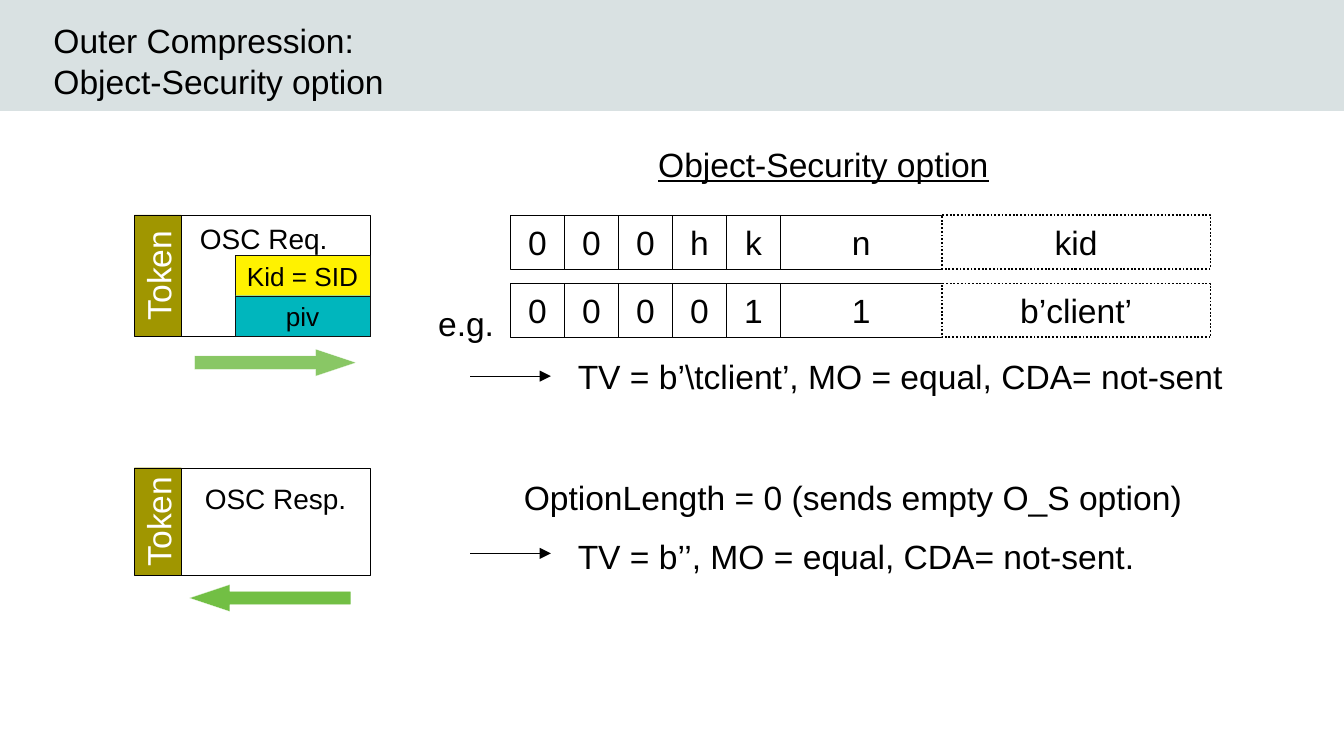
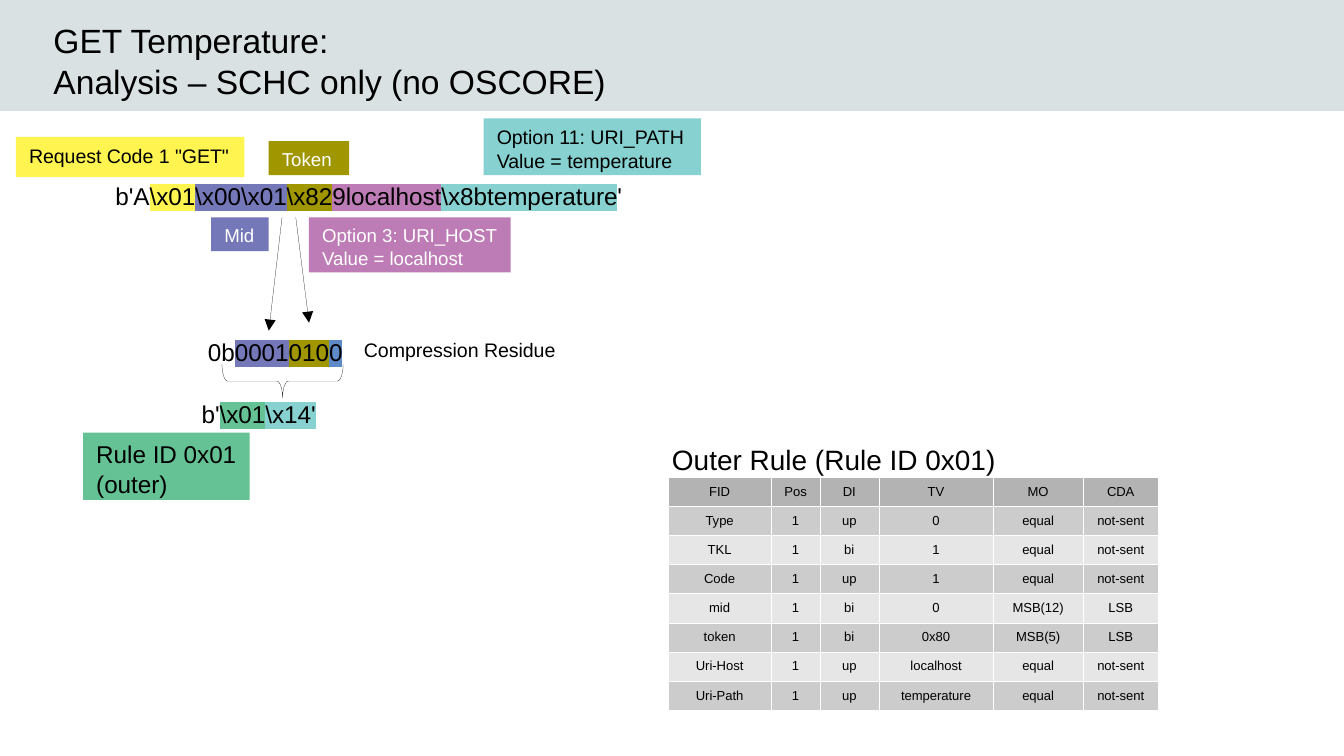
from pptx import Presentation
from pptx.dml.color import RGBColor
from pptx.enum.dml import MSO_LINE
from pptx.enum.shapes import MSO_CONNECTOR, MSO_SHAPE
from pptx.enum.text import MSO_ANCHOR as ANCHOR, MSO_AUTO_SIZE, PP_ALIGN as ALIGN
from pptx.oxml.ns import qn
from pptx.util import Cm, Pt
from lxml.etree import SubElement

# ---- Shared look ----
FONT = "Arial"
HAIRLINE = Pt(0.1)
C = {
    "black": "000000", "white": "FFFFFF", "band": "D9E1E2", "edge": "111111",
    "kid": "FFF200", "piv": "00B6BD", "olive": "A09600",
    "req_arrow": "89C765", "resp_arrow": "72BF44",
    "code": "FFF450", "mid": "7477B8", "host": "BD7CB5", "uri": "87D1D1",
    "rule": "65C295", "pad": "5E8AC7",
    "head": "B3B3B3", "odd": "CCCCCC", "even": "E6E6E6",
}

# ---- Slide 1 content (all lengths in cm) ----
OPTION_TITLE = ["Outer Compression:", "Object-Security option"]
FIELD_WIDTHS = [1.02] * 5 + [3.05, 5.08]
FIELD_ROWS = [
    (4.06, ["0", "0", "0", "h", "k", "n", "kid"]),
    (5.36, ["0", "0", "0", "0", "1", "1", "b’client’"]),
]
MESSAGE_X, MESSAGE_W, TOKEN_W = 3.43, 3.56, 0.89
MESSAGES = [(4.06, 2.29), (8.84, 2.03)]  # top, height
FIELDS_IN_REQUEST = [("Kid = SID", "kid"), ("piv", "piv")]
DIRECTIONS = [
    (MSO_SHAPE.RIGHT_ARROW, 3.68, 6.6, "req_arrow"),
    (MSO_SHAPE.LEFT_ARROW, 3.58, 11.05, "resp_arrow"),
]
OPTION_NOTES = [
    ("e.g.", 8.03, 5.59, 1.65),
    ("TV = b’\\tclient’, MO = equal, CDA= not-sent", 10.67, 6.6, 13.21),
    ("OptionLength = 0 (sends empty O_S option)", 9.65, 8.89, 13.97),
    ("TV = b’’, MO = equal, CDA= not-sent.", 10.67, 10.01, 13.21),
]
NOTE_ARROWS = [7.11, 10.46]

# ---- Slide 2 content ----
GET_TITLE = ["GET Temperature:", "Analysis – SCHC only (no OSCORE)"]
BYTE_STRINGS = [  # box, runs of (text, highlight)
    ((1.93, 3.3, 10.26, 0.81),
     [("b'A", None), ("\\x01", "code"), ("\\x00\\x01", "mid"), ("\\x82", "olive"),
      ("9localhost", "host"), ("\\x8btemperature", "uri"), ("'", None)]),
    ((3.68, 6.25, 3.05, 0.76),
     [("0b", None), ("0001", "mid"), ("010", "olive"), ("0", "pad")]),
    ((3.56, 7.42, 2.82, 0.76),
     [("b'", None), ("\\x01", "rule"), ("\\x14'", "uri")]),
]
LABELS = [  # lines, box, fill, text colour, size
    (['Request Code 1 "GET"'], (0.3, 2.59, 4.32, 0.76), "code", "black", 10.5),
    (["Mid"], (3.99, 4.11, 1.09, 0.64), "mid", "white", 10),
    (["Token"], (5.08, 2.67, 1.52, 0.64), "olive", "white", 10),
    (["Option 3: URI_HOST", "Value = localhost"],
     (5.84, 4.11, 3.81, 1.04), "host", "white", 10),
    (["Option 11: URI_PATH", "Value = temperature"],
     (9.14, 2.24, 4.11, 1.07), "uri", "black", 10.5),
    (["Rule ID 0x01", "(outer)"], (1.57, 8.18, 3.15, 1.27), "rule", "black", 13),
]
RESIDUE_ARROWS = [(5.59, 4.11, 5.84, 6.1), (5.33, 4.11, 5.08, 6.25)]
COLUMN_WIDTHS = [1.96, 0.91, 1.12, 2.16, 1.7, 1.42]
ROW_HEIGHT = 0.55
RULE_ROWS = [
    ("FID", "Pos", "DI", "TV", "MO", "CDA"),
    ("Type", "1", "up", "0", "equal", "not-sent"),
    ("TKL", "1", "bi", "1", "equal", "not-sent"),
    ("Code", "1", "up", "1", "equal", "not-sent"),
    ("mid", "1", "bi", "0", "MSB(12)", "LSB"),
    ("token", "1", "bi", "0x80", "MSB(5)", "LSB"),
    ("Uri-Host", "1", "up", "localhost", "equal", "not-sent"),
    ("Uri-Path", "1", "up", "temperature", "equal", "not-sent"),
]


# ---- Helpers ----
def rgb(name):
    return RGBColor.from_string(C[name])


def cms(*values):
    return [Cm(v) for v in values]


def add_run(p, text, size, color="black", highlight=None, underline=None):
    r = p.add_run()
    r.text = text
    f = r.font
    f.name, f.size, f.underline = FONT, Pt(size), underline
    f.color.rgb = rgb(color)
    if highlight:
        rpr = r._r.get_or_add_rPr()
        hl = SubElement(rpr, qn("a:highlight"))
        SubElement(hl, qn("a:srgbClr"), val=C[highlight])
        rpr.find(qn("a:solidFill")).addnext(hl)


def write(tf, lines, size, color="black", align=ALIGN.LEFT, anchor=ANCHOR.TOP, **style):
    """Each line is a string or a list of (text, highlight) runs."""
    tf.word_wrap = True
    tf.auto_size = MSO_AUTO_SIZE.NONE
    tf.vertical_anchor = anchor
    tf.margin_left = Cm(0 if align == ALIGN.CENTER else 0.25)
    tf.margin_right = 0
    tf.margin_top = tf.margin_bottom = Cm(0.13)
    for i, line in enumerate(lines):
        p = tf.add_paragraph() if i else tf.paragraphs[0]
        p.alignment = align
        for text, hl in [(line, None)] if isinstance(line, str) else line:
            add_run(p, text, size, color, hl, **style)


def add_text(s, lines, box, size, **style):
    write(s.shapes.add_textbox(*cms(*box)).text_frame, lines, size, **style)


def add_box(s, box, fill=None, line=None, kind=MSO_SHAPE.RECTANGLE):
    sp = s.shapes.add_shape(kind, *cms(*box))
    sp.shadow.inherit = False
    if fill:
        sp.fill.solid()
        sp.fill.fore_color.rgb = rgb(fill)
    else:
        sp.fill.background()
    if line:
        sp.line.color.rgb = rgb(line)
        sp.line.width = HAIRLINE
    else:
        sp.line.fill.background()
    return sp


def add_centred(s, text, box, fill, line, size, color="black"):
    sp = add_box(s, box, fill, line)
    write(sp.text_frame, [text], size, color, ALIGN.CENTER, ANCHOR.MIDDLE)
    return sp


def add_arrow(s, x1, y1, x2, y2):
    cn = s.shapes.add_connector(MSO_CONNECTOR.STRAIGHT, *cms(x1, y1, x2, y2))
    cn.line.color.rgb = rgb("black")
    cn.line.width = HAIRLINE
    SubElement(cn.line._get_or_add_ln(), qn("a:tailEnd"), type="triangle")
    SubElement(cn._element.spPr, qn("a:effectLst"))


def add_slide(prs, title):
    s = prs.slides.add_slide(prs.slide_layouts[5])
    t = s.shapes.title
    t.left, t.top, t.width, t.height = cms(0.76, 0.25, 21.34, 2.39)
    write(t.text_frame, title, 18)
    return s


# ---- Slides ----
def build_option_slide(prs):
    s = add_slide(prs, OPTION_TITLE)

    # The band belongs to the layout, so both slides show it
    band = add_box(s, (0, 0, 25.4, 2.1), "band")
    prs.slide_layouts[5].shapes._spTree.insert(2, band._element)

    # Request and response messages, each with its token on the left
    for top, height in MESSAGES:
        add_box(s, (MESSAGE_X, top, MESSAGE_W, height), "white", "black")
        cx, cy = MESSAGE_X - TOKEN_W / 2, top + height / 2
        token = add_centred(s, "Token", (cx - height / 2, cy - TOKEN_W / 2, height, TOKEN_W),
                            "olive", "black", 18, "white")
        token.rotation = 270
    add_text(s, ["OSC Req."], (3.53, 4.06, 3.4, 0.84), 15)
    add_text(s, ["OSC Resp."], (MESSAGE_X, 8.98, MESSAGE_W, 0.84), 15, align=ALIGN.CENTER)
    for i, (text, fill) in enumerate(FIELDS_IN_REQUEST):
        add_centred(s, text, (4.45, 4.83 + i * 0.76, 2.54, 0.76), fill, "edge", 14)
    for kind, x, y, fill in DIRECTIONS:
        sp = add_box(s, (x, y, 3.05, 0.51), fill, "white", kind)
        sp.adjustments[0], sp.adjustments[1] = 0.5, 1.5

    # Option layout and example, the last field dotted
    add_text(s, ["Object-Security option"], (12.19, 2.59, 8.89, 0.97), 18, underline=True)
    for y, fields in FIELD_ROWS:
        x = 9.65
        for text, w in zip(fields, FIELD_WIDTHS):
            sp = add_centred(s, text, (x, y, w, 1.02), "white", "black", 18)
            x += w
        sp.line.width = Pt(1)
        sp.line.dash_style = MSO_LINE.ROUND_DOT

    # Explanations
    for text, x, y, w in OPTION_NOTES:
        add_text(s, [text], (x, y, w, 1.02), 18)
    for y in NOTE_ARROWS:
        add_arrow(s, 8.89, y, 10.41, y)


def add_rule_table(s):
    size = cms(12.62, 9.02, sum(COLUMN_WIDTHS), ROW_HEIGHT * len(RULE_ROWS))
    table = s.shapes.add_table(len(RULE_ROWS), len(COLUMN_WIDTHS), *size).table
    for col, w in zip(table.columns, COLUMN_WIDTHS):
        col.width = Cm(w)
    for i, row in enumerate(RULE_ROWS):
        table.rows[i].height = Cm(ROW_HEIGHT)
        fill = "head" if i == 0 else "odd" if i % 2 else "even"
        for j, text in enumerate(row):
            cell = table.cell(i, j)
            cell.vertical_anchor = ANCHOR.MIDDLE
            cell.margin_left = cell.margin_right = Cm(0.1)
            p = cell.text_frame.paragraphs[0]
            p.alignment = ALIGN.CENTER
            add_run(p, text, 7)
            # Borders come before the fill in the cell properties
            tcpr = cell._tc.get_or_add_tcPr()
            for side in ("lnL", "lnR", "lnT", "lnB"):
                ln = SubElement(tcpr, qn("a:" + side), w=str(HAIRLINE))
                SubElement(SubElement(ln, qn("a:solidFill")), qn("a:srgbClr"), val=C["white"])
            cell.fill.solid()
            cell.fill.fore_color.rgb = rgb(fill)


def build_get_slide(prs):
    s = add_slide(prs, GET_TITLE)

    # Byte strings and their labels
    for box, runs in BYTE_STRINGS:
        add_text(s, [runs], box, 13)
    for lines, box, fill, color, size in LABELS:
        write(add_box(s, box, fill).text_frame, lines, size, color)
    add_text(s, ["Compression Residue"], (6.63, 6.25, 4.32, 0.66), 10.5)

    # Brace under the residue, and arrows into it
    brace = add_box(s, (5.02, 6.06, 0.64, 2.29), None, "black", MSO_SHAPE.RIGHT_BRACE)
    brace.adjustments[0] = 0.17
    brace.rotation = 90
    for ends in RESIDUE_ARROWS:
        add_arrow(s, *ends)

    # Rule table
    add_text(s, ["Outer Rule (Rule ID 0x01)"], (12.45, 8.23, 7.65, 0.84), 15)
    add_rule_table(s)


def main():
    prs = Presentation()
    prs.slide_width, prs.slide_height = cms(25.4, 14.29)
    build_option_slide(prs)
    build_get_slide(prs)
    prs.save("out.pptx")


if __name__ == "__main__":
    main()
